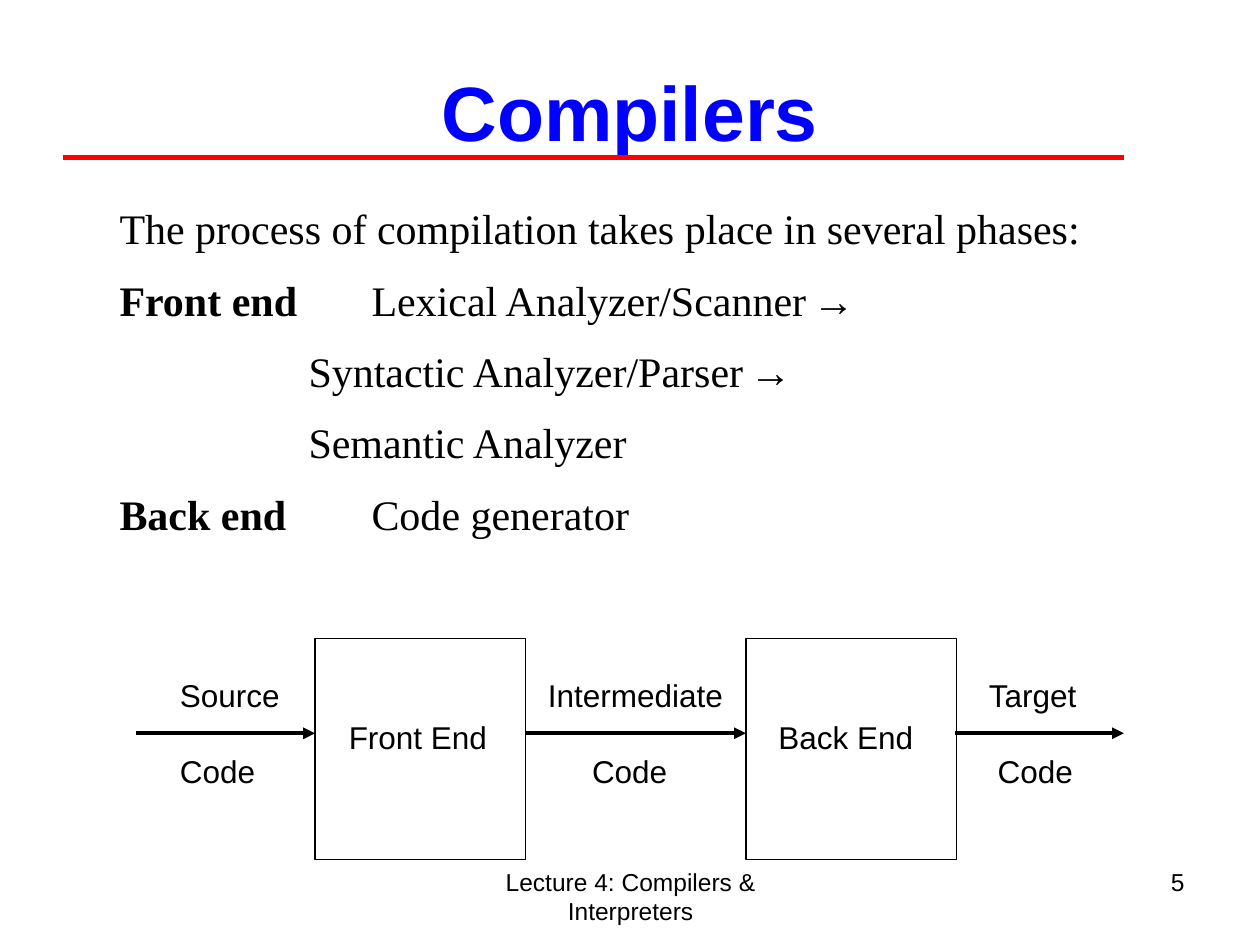
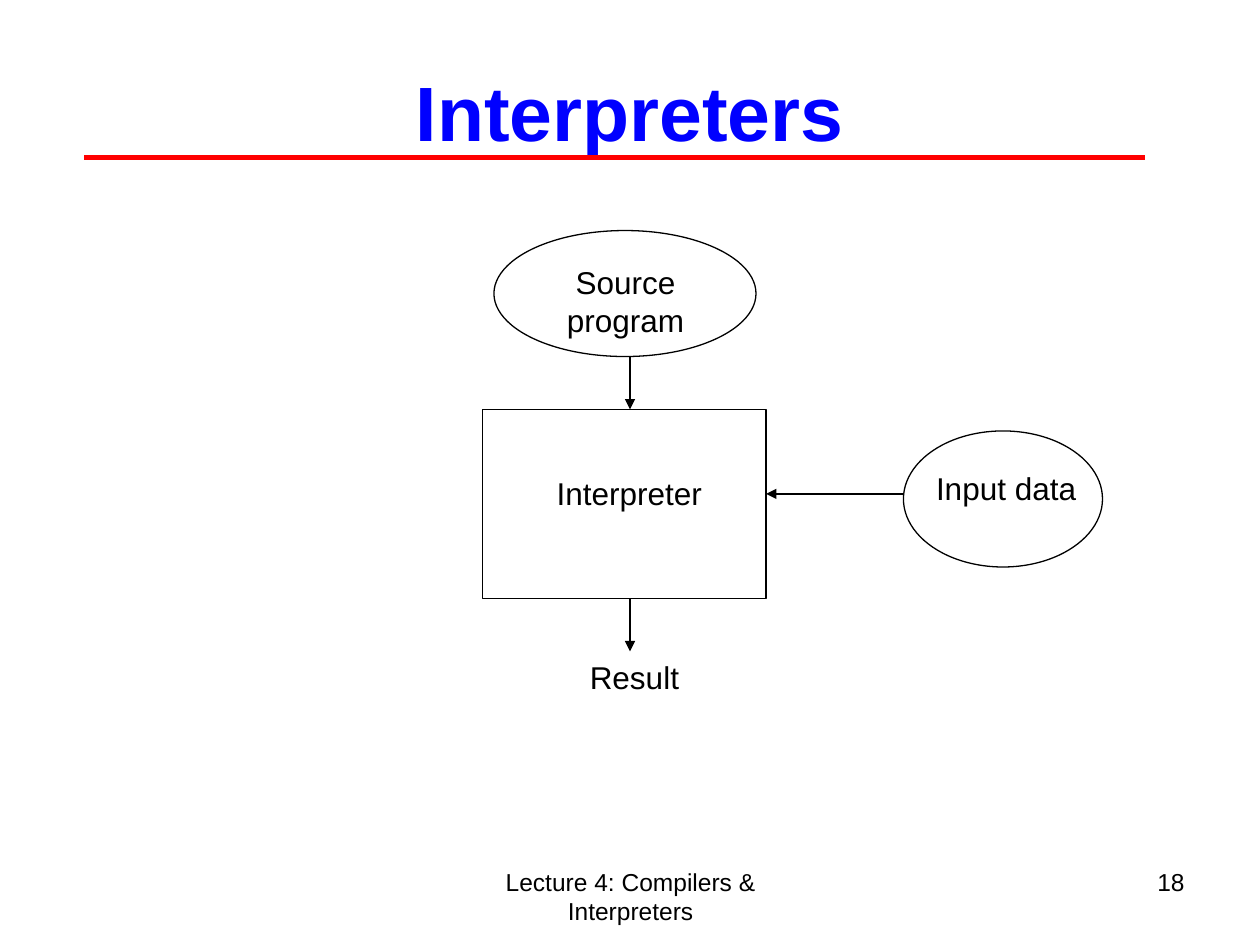
"""Build two lecture slides on compilers and interpreters."""
from lxml.etree import SubElement
from pptx import Presentation
from pptx.dml.color import RGBColor
from pptx.enum.shapes import MSO_CONNECTOR, MSO_SHAPE
from pptx.enum.text import MSO_ANCHOR, PP_ALIGN
from pptx.oxml.ns import qn
from pptx.util import Inches, Pt

rgb = RGBColor.from_string
BLACK, BLUE, RED = "000000", "0000FF", "FF0000"
TITLE = {"name": "Arial", "size": Pt(44), "bold": True}
BODY = {"name": "Times New Roman", "size": Pt(24), "bold": False}
LABEL = {"name": "Arial", "size": Pt(18), "bold": False}
FOOTER = {"name": "Arial", "size": Pt(14), "bold": False}


def write(slide, place, paragraphs, style, align=PP_ALIGN.LEFT, wrap=True, color=BLACK):
    """Add a text box; the second run of a paragraph given as a tuple is bold."""
    frame = slide.shapes.add_textbox(*map(Inches, place)).text_frame
    frame.word_wrap = wrap
    for number, content in enumerate(paragraphs):
        paragraph = frame.add_paragraph() if number else frame.paragraphs[0]
        paragraph.alignment = align
        for position, text in enumerate((content,) if isinstance(content, str) else content):
            run = paragraph.add_run()
            run.text = text
            for attribute, value in style.items():
                setattr(run.font, attribute, value)
            run.font.color.rgb = rgb(color)
            if position == 1:
                run.font.bold = True
    return frame


def draw_line(slide, start, end, width, color=BLACK, arrow=True):
    """Add a straight line, with an arrowhead at its end if wanted."""
    line = slide.shapes.add_connector(MSO_CONNECTOR.STRAIGHT, *map(Inches, start + end))
    line.line.width = Pt(width)
    line.line.color.rgb = rgb(color)
    if arrow:
        SubElement(line.line._get_or_add_ln(), qn("a:tailEnd"), type="triangle")
    SubElement(line._element.spPr, qn("a:effectLst"))


deck = Presentation()
deck.slide_width, deck.slide_height = Inches(10), Inches(7.5)

slides = []
for heading, page, rule_left in (("Compilers", "5", 0.5), ("Interpreters", "18", 0.67)):
    slide = deck.slides.add_slide(deck.slide_layouts[6])
    write(slide, (3.42, 6.83, 3.17, 0.52), ["Lecture 4: Compilers & Interpreters"],
          FOOTER, PP_ALIGN.CENTER)
    write(slide, (7.17, 6.83, 2.33, 0.52), [page], FOOTER, PP_ALIGN.RIGHT)
    title = write(slide, (0.5, 0.25, 9, 1.25), [heading], TITLE, PP_ALIGN.CENTER, color=BLUE)
    title.vertical_anchor = MSO_ANCHOR.MIDDLE
    draw_line(slide, (rule_left, 1.25), (rule_left + 8.42, 1.25), 3, RED, arrow=False)
    slides.append(slide)
compilers, interpreters = slides

phases = write(compilers, (0.35, 1.56, 9.58, 2.93), [
    "\tThe process of compilation takes place in several phases:",
    ("\t", "Front end\t\t", "Lexical Analyzer/Scanner\t→"),
    "\t\t\t\tSyntactic Analyzer/Parser\t→",
    "\t\t\t\tSemantic Analyzer",
    ("\t", "Back end ", "\t\tCode generator"),
], BODY)
for paragraph in phases.paragraphs:
    properties = paragraph._p.get_or_add_pPr()
    properties.set("marL", str(Inches(0.5)))
    properties.set("indent", str(Inches(-0.5)))
    SubElement(SubElement(properties, qn("a:spcBef")), qn("a:spcPct"), val="50000")

for slide, outline, place in (
    (compilers, MSO_SHAPE.RECTANGLE, (2.5, 5.07, 1.67, 1.75)),
    (compilers, MSO_SHAPE.RECTANGLE, (5.92, 5.07, 1.67, 1.75)),
    (interpreters, MSO_SHAPE.OVAL, (3.92, 1.83, 2.08, 1)),
    (interpreters, MSO_SHAPE.RECTANGLE, (3.83, 3.25, 2.25, 1.5)),
    (interpreters, MSO_SHAPE.OVAL, (7.17, 3.42, 1.58, 1.08)),
):
    stage = slide.shapes.add_shape(outline, *map(Inches, place))
    stage.shadow.inherit = False
    stage.fill.background()
    stage.line.color.rgb = rgb(BLACK)
    stage.line.width = Pt(0.75)

for stage_name, left in (("Front End", 2.67), ("Back End", 6.08)):
    write(compilers, (left, 5.65, 1.33, 0.4), [stage_name], LABEL)

for start, end in ((1.08, 2.5), (4.17, 5.92), (7.58, 8.92)):
    draw_line(compilers, (start, 5.82), (end, 5.82), 2.25)

for code_kind, left, width, code_indent in (
    ("Source", 1.33, 0.99, 0), ("Intermediate", 4.25, 1.59, 0.35), ("Target", 7.75, 0.92, 0.07),
):
    flow = write(compilers, (left, 5.32, width, 1), [code_kind, "Code"], LABEL, wrap=False)
    code = flow.paragraphs[1]
    code.space_before = Pt(21.5)
    code._p.get_or_add_pPr().set("marL", str(Inches(code_indent)))

for lines, place in (
    (["Source", "program"], (4.4, 2.04, 1.13, 0.7)),
    (["Interpreter"], (4.32, 3.71, 1.35, 0.4)),
    (["Input data"], (7.33, 3.67, 1.31, 0.4)),
    (["Result"], (4.58, 5.17, 0.91, 0.4)),
):
    write(interpreters, place, lines, LABEL, PP_ALIGN.CENTER, wrap=False)

for start, end in (((5, 2.83), (5, 3.25)), ((7.17, 3.92), (6.08, 3.92)), ((5, 4.75), (5, 5.17))):
    draw_line(interpreters, start, end, 0.75)

deck.save("out.pptx")
